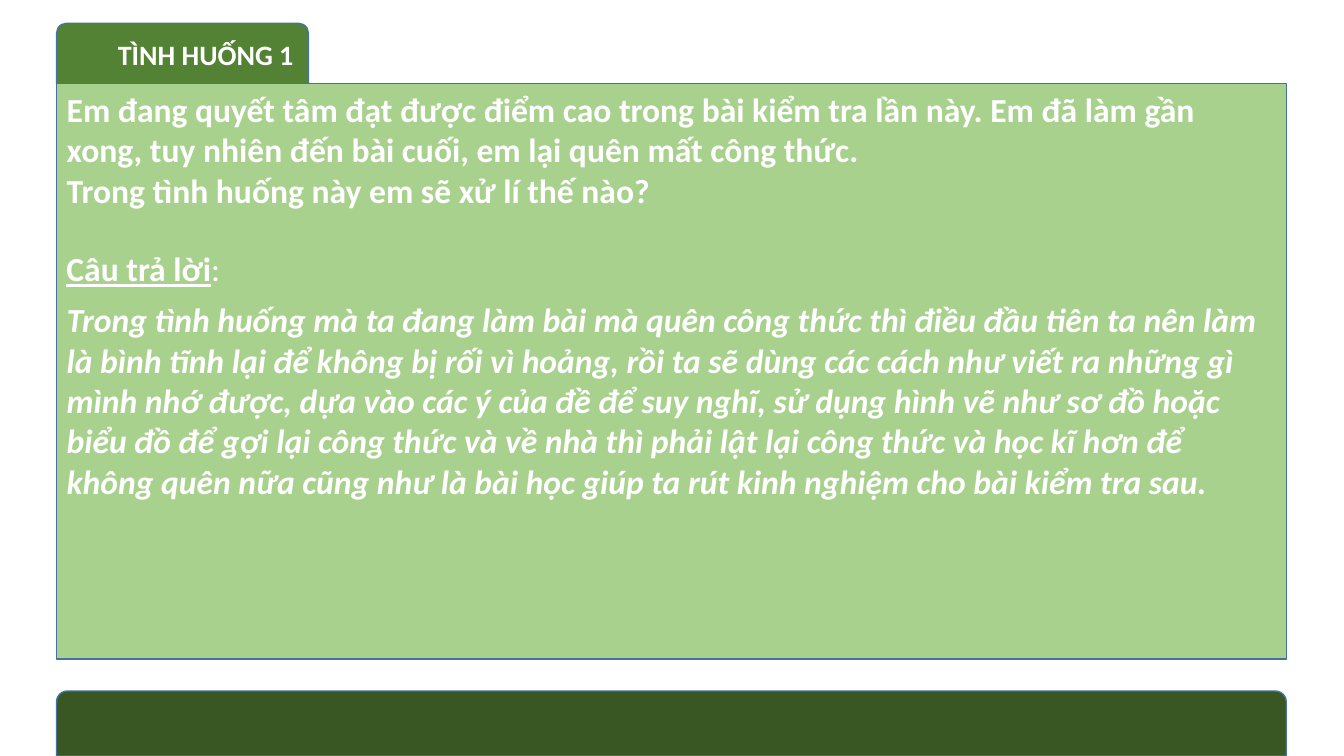
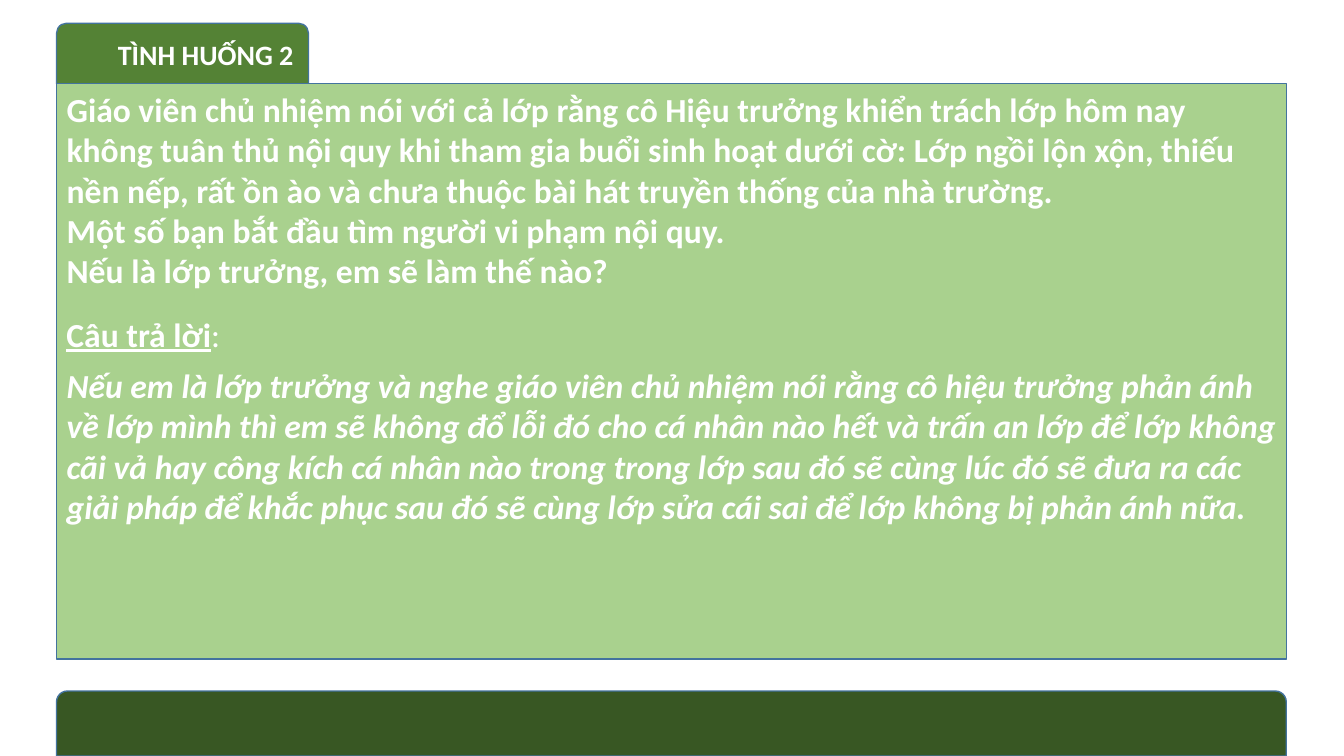
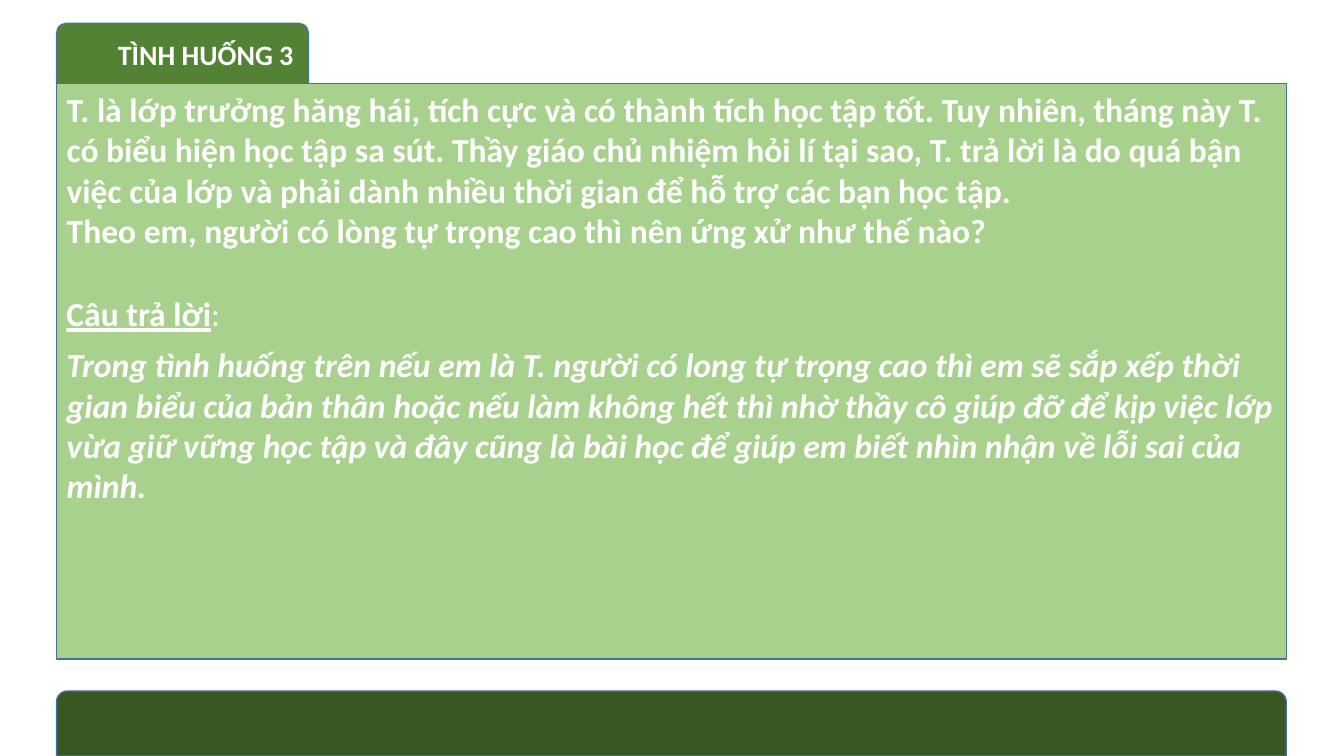
from pptx import Presentation
from pptx.dml.color import RGBColor
from pptx.enum.shapes import MSO_SHAPE
from pptx.enum.text import MSO_ANCHOR, MSO_AUTO_SIZE, PP_ALIGN
from pptx.oxml.ns import qn
from pptx.util import Pt

RECT, TAB = MSO_SHAPE.RECTANGLE, MSO_SHAPE.ROUND_2_SAME_RECTANGLE
TOP, LEFT = MSO_ANCHOR.TOP, PP_ALIGN.LEFT
GROW = MSO_AUTO_SIZE.SHAPE_TO_FIT_TEXT

WHITE = RGBColor(0xFF, 0xFF, 0xFF)
DARK = RGBColor(0x38, 0x57, 0x23)
GREEN = RGBColor(0x54, 0x82, 0x35)
LIGHT = RGBColor(0xA9, 0xD1, 0x8E)
EDGE = RGBColor(0x43, 0x73, 0x9E)
FONT = "Calibri"

# Content: situation paragraphs, top of the answer label, answer
SITUATIONS = [
    (["Em đang quyết tâm đạt được điểm cao trong bài kiểm tra lần này. Em đã làm gần "
      "xong, tuy nhiên đến bài cuối, em lại quên mất công thức.",
      "Trong tình huống này em sẽ xử lí thế nào?"],
     173.8,
     "Trong tình huống mà ta đang làm bài mà quên công thức thì điều đầu tiên ta nên làm "
     "là bình tĩnh lại để không bị rối vì hoảng, rồi ta sẽ dùng các cách như viết ra những gì "
     "mình nhớ được, dựa vào các ý của đề để suy nghĩ, sử dụng hình vẽ như sơ đồ hoặc "
     "biểu đồ để gợi lại công thức và về nhà thì phải lật lại công thức và học kĩ hơn để "
     "không quên nữa cũng như là bài học giúp ta rút kinh nghiệm cho bài kiểm tra sau."),
    (["Giáo viên chủ nhiệm nói với cả lớp rằng cô Hiệu trưởng khiển trách lớp hôm nay "
      "không tuân thủ nội quy khi tham gia buổi sinh hoạt dưới cờ: Lớp ngồi lộn xộn, thiếu "
      "nền nếp, rất ồn ào và chưa thuộc bài hát truyền thống của nhà trường.",
      "Một số bạn bắt đầu tìm người vi phạm nội quy.",
      "Nếu là lớp trưởng, em sẽ làm thế nào?"],
     220.6,
     "Nếu em là lớp trưởng và nghe giáo viên chủ nhiệm nói rằng cô hiệu trưởng phản ánh "
     "về lớp mình thì em sẽ không đổ lỗi đó cho cá nhân nào hết và trấn an lớp để lớp không "
     "cãi vả hay công kích cá nhân nào trong trong lớp sau đó sẽ cùng lúc đó sẽ đưa ra các "
     "giải pháp để khắc phục sau đó sẽ cùng lớp sửa cái sai để lớp không bị phản ánh nữa."),
    (["T. là lớp trưởng hăng hái, tích cực và có thành tích học tập tốt. Tuy nhiên, tháng này T. "
      "có biểu hiện học tập sa sút. Thầy giáo chủ nhiệm hỏi lí tại sao, T. trả lời là do quá bận "
      "việc của lớp và phải dành nhiều thời gian để hỗ trợ các bạn học tập.",
      "Theo em, người có lòng tự trọng cao thì nên ứng xử như thế nào?"],
     205.8,
     "Trong tình huống trên nếu em là T. người có long tự trọng cao thì em sẽ sắp xếp thời "
     "gian biểu của bản thân hoặc nếu làm không hết thì nhờ thầy cô giúp đỡ để kịp việc lớp "
     "vừa giữ vững học tập và đây cũng là bài học để giúp em biết nhìn nhận về lỗi sai của "
     "mình."),
]

# Shared layout
X, W = 40.4, 878.4
PANEL_TOP = 59.8
LABEL_H = 36.35
LINE_H, INSETS = 29.1, 7.2
BANDS = [
    (TAB, DARK, X, 493.6, W, 46.4),
    (TAB, GREEN, X, 16.6, 180, 43.2),
    (RECT, LIGHT, X, PANEL_TOP, W, 411),
]


def add_band(slide, kind, fill, *box):
    s = slide.shapes.add_shape(kind, *map(Pt, box))
    s.shadow.inherit = False
    s.fill.solid()
    s.fill.fore_color.rgb = fill
    s.line.color.rgb = EDGE
    s.line.width = Pt(1)


def write(sp, box, paragraphs, size=24):
    """Place sp and fill it; each paragraph is a list of (text, font settings)."""
    sp.left, sp.top, sp.width, sp.height = map(Pt, box)
    tf = sp.text_frame
    tf.word_wrap = True
    tf.auto_size = GROW
    tf.vertical_anchor = TOP
    for i, runs in enumerate(paragraphs):
        p = tf.add_paragraph() if i else tf.paragraphs[0]
        p.alignment = LEFT
        p.space_before = Pt(0)
        pPr = p._p.get_or_add_pPr()
        pPr.set("marL", "0")
        pPr.set("indent", "0")
        pPr.append(pPr.makeelement(qn("a:buNone"), {}))
        for text, settings in runs:
            r = p.add_run()
            r.text = text
            r.font.name, r.font.size = FONT, Pt(size)
            r.font.color.rgb = WHITE
            for key, value in settings.items():
                setattr(r.font, key, value)


def add_situation(prs, number, question, label_top, answer):
    slide = prs.slides.add_slide(prs.slide_layouts[3])
    title, body, reply = slide.placeholders
    for band in BANDS:
        add_band(slide, *band)
    # Text goes in front of the bands
    for sp in (title, body, reply):
        slide.shapes._spTree.append(sp._element)
    label = slide.shapes.add_textbox(0, 0, 0, 0)

    bold = {"bold": True}
    lines = len(question) + (1 if number == 1 else 2)
    write(title, (77, 23, 143.3, 31.5), [[(f"TÌNH HUỐNG {number}", bold)]], 20)
    write(body, (X, PANEL_TOP, W, lines * LINE_H + INSETS),
          [[(text, bold)] for text in question])
    write(label, (X, label_top, W, LABEL_H),
          [[("Câu trả lời", {"bold": True, "underline": True}), (":", {"bold": False})]])
    reply_lines = 5 if number == 1 else 4
    write(reply, (X, label_top + LABEL_H, W, reply_lines * LINE_H + INSETS),
          [[(answer, {"bold": True, "italic": True})]])


def main():
    prs = Presentation()
    prs.slide_width, prs.slide_height = Pt(960), Pt(540)
    for number, situation in enumerate(SITUATIONS, 1):
        add_situation(prs, number, *situation)
    prs.save("out.pptx")


if __name__ == "__main__":
    main()
